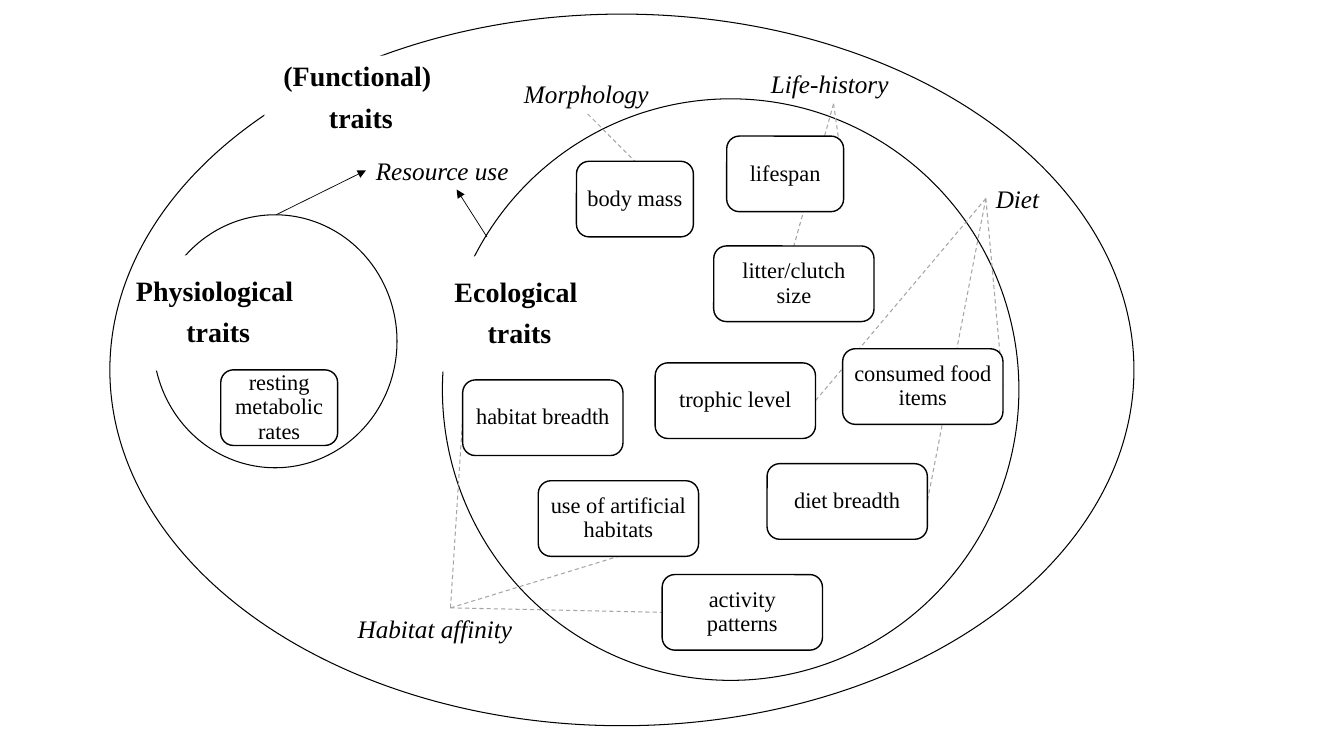
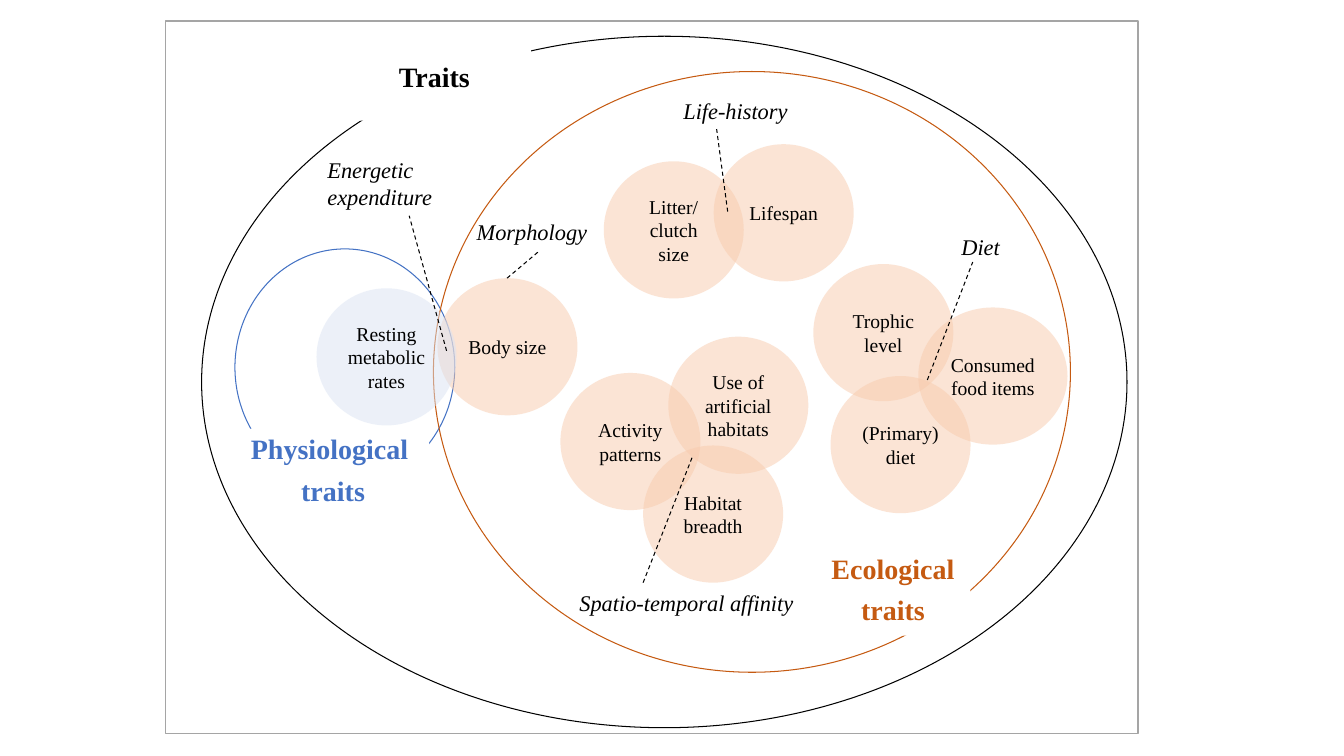
"""Two diagrams that group species traits by kind."""
from pptx import Presentation
from pptx.dml.color import RGBColor
from pptx.enum.dml import MSO_LINE
from pptx.enum.shapes import MSO_CONNECTOR, MSO_SHAPE
from pptx.enum.text import MSO_ANCHOR, MSO_AUTO_SIZE, PP_ALIGN
from pptx.oxml.ns import qn
from pptx.oxml.xmlchemy import OxmlElement
from pptx.util import Pt

BLACK = RGBColor(0x00, 0x00, 0x00)
WHITE = RGBColor(0xFF, 0xFF, 0xFF)
GREY = RGBColor(0xA5, 0xA5, 0xA5)
BLUE = RGBColor(0x44, 0x72, 0xC4)
ORANGE = RGBColor(0xC5, 0x5A, 0x11)
PALE_BLUE = RGBColor(0xDA, 0xE3, 0xF3)
PEACH = RGBColor(0xF8, 0xCB, 0xAD)

OVAL, ROUNDED, RECTANGLE = MSO_SHAPE.OVAL, MSO_SHAPE.ROUNDED_RECTANGLE, MSO_SHAPE.RECTANGLE
STRAIGHT = MSO_CONNECTOR.STRAIGHT
DASH = MSO_LINE.DASH
MIDDLE = MSO_ANCHOR.MIDDLE
CENTER, LEFT = PP_ALIGN.CENTER, PP_ALIGN.LEFT
FIT_SHAPE = MSO_AUTO_SIZE.SHAPE_TO_FIT_TEXT

FONT = "Times New Roman"
BLANK_LAYOUT = 6
TOP, LEFT_SIDE, BOTTOM, RIGHT_SIDE = range(4)
NARROW, WIDE, BOX_HEIGHT = 83.5, 114.5, 54
CIRCLE_WIDTH, CIRCLE_HEIGHT = 100, 98

HEADING = {"size": Pt(20), "bold": True}
BOX_TEXT = {"size": Pt(16)}
CIRCLE_TEXT = {"size": Pt(14)}
GROUP_NAME = {"size": Pt(18), "italic": True}
SMALL_GROUP_NAME = {"size": Pt(16), "italic": True}
TIGHT = {"alignment": CENTER, "line_spacing": 0.9, "space_after": Pt(8)}


def apply(target, values):
    """Set each attribute in values on target."""
    for attribute, value in values.items():
        setattr(target, attribute, value)


def write(frame, text, font, color=BLACK, paragraph_format=None, inset=None):
    """Write the lines of text as paragraphs in one style."""
    frame.word_wrap = True
    if inset is not None:
        margins = ("margin_left", "margin_top", "margin_right", "margin_bottom")
        apply(frame, dict.fromkeys(margins, Pt(inset)))
    for index, line in enumerate(text.split("\n")):
        paragraph = frame.add_paragraph() if index else frame.paragraphs[0]
        apply(paragraph, paragraph_format or {"alignment": LEFT})
        run = paragraph.add_run()
        run.text = line
        apply(run.font, {"name": FONT, **font})
        run.font.color.rgb = color


def add_outline(slide, preset, area, fill=None, line=None, weight=0.75):
    """Add a preset shape without shadow, optionally filled and outlined."""
    shape = slide.shapes.add_shape(preset, *map(Pt, area))
    shape.shadow.inherit = False
    shape.text_frame.vertical_anchor = MIDDLE
    if fill is None:
        shape.fill.background()
    else:
        shape.fill.solid()
        shape.fill.fore_color.rgb = fill
    if line is None:
        shape.line.fill.background()
    else:
        shape.line.color.rgb = line
        shape.line.width = Pt(weight)
    return shape


def add_heading(slide, text, area, color=BLACK):
    """Add a bold heading on a white patch that interrupts its ring."""
    patch = add_outline(slide, ROUNDED, area, WHITE, WHITE, 1)
    write(patch.text_frame, text, HEADING, color, TIGHT, 6)


def add_group_name(slide, text, area, font):
    """Add an italic name of a trait group."""
    name = slide.shapes.add_textbox(*map(Pt, area))
    write(name.text_frame, text, font)
    name.text_frame.auto_size = FIT_SHAPE


def add_link(slide, start, end, color=BLACK, weight=0.75, dashed=True):
    """Add a dashed line, or a solid line with an arrowhead at its end."""
    link = slide.shapes.add_connector(STRAIGHT, *map(Pt, (*start, *end)))
    link.line.color.rgb = color
    link.line.width = Pt(weight)
    if dashed:
        link.line.dash_style = DASH
    else:
        arrowhead = OxmlElement("a:tailEnd")
        arrowhead.set("type", "triangle")
        link.line._get_or_add_ln().append(arrowhead)
    link._element.spPr.append(OxmlElement("a:effectLst"))
    return link


def add_trait_box(slide, text, left, top, width, hub=None, side=None):
    """Add a trait box, with a link beneath it from its group's hub."""
    link = add_link(slide, hub, hub, GREY) if hub else None
    box = add_outline(slide, ROUNDED, (left, top, width, BOX_HEIGHT), WHITE, BLACK, 1)
    write(box.text_frame, text, BOX_TEXT, BLACK, TIGHT, 5)
    if link:
        link.end_connect(box, side)


def add_trait_circle(slide, text, left, top, fill=PEACH, width=CIRCLE_WIDTH):
    """Add a half-transparent trait circle."""
    circle = add_outline(slide, OVAL, (left, top, width, CIRCLE_HEIGHT), fill)
    alpha = OxmlElement("a:alpha")
    alpha.set("val", "50000")
    circle._element.spPr.find(".//" + qn("a:srgbClr")).append(alpha)
    write(circle.text_frame, text, CIRCLE_TEXT, BLACK, {"alignment": CENTER})


def build_functional_traits(slide):
    """Draw the functional traits as boxes linked to their groups."""
    add_outline(slide, OVAL, (316, 70.6, 411.8, 415.4), line=BLACK)
    add_outline(slide, OVAL, (109.4, 153.4, 174.2, 180.7), line=BLACK)
    add_heading(slide, "Physiological \ntraits", (63.4, 182.9, 185, 81.4))
    add_heading(slide, "Ecological \ntraits", (300.2, 183.6, 141.8, 81.4))
    add_outline(slide, OVAL, (78.5, 10.1, 731.5, 508.3), line=BLACK)
    add_heading(slide, "(Functional) \ntraits", (189.4, 40.3, 136.8, 59.8))

    morphology, life_history = (419.8, 81.4), (595.4, 74.2)
    diet, habitat = (704.2, 141.8), (321.8, 434.2)
    for trait in (
        ("resting metabolic rates", 157.7, 264.2, NARROW),
        ("body mass", 411.8, 115.2, NARROW, morphology, TOP),
        ("trophic level", 468, 259.2, WIDE, diet, RIGHT_SIDE),
        ("diet breadth", 547.9, 331.2, WIDE, diet, RIGHT_SIDE),
        ("activity patterns", 473, 410.4, WIDE, habitat, LEFT_SIDE),
        ("habitat breadth", 330.5, 271.4, WIDE, habitat, LEFT_SIDE),
        ("litter/clutch size", 509.8, 175.7, WIDE, life_history, TOP),
        ("consumed food items", 601.9, 249.1, WIDE, diet, RIGHT_SIDE),
        ("use of artificial habitats", 384.5, 343.4, WIDE, habitat, BOTTOM),
        ("lifespan", 519.1, 97.2, NARROW, life_history, RIGHT_SIDE),
    ):
        add_trait_box(slide, *trait)

    for start, end in (((197.3, 153.4), (261.4, 121.7)),
                       ((347.8, 169.2), (326.2, 135.4))):
        add_link(slide, start, end, weight=0.5, dashed=False)
    for text, left, top, width in (
        ("Resource use", 261.4, 107.3, 131),
        ("Life-history", 543.6, 45.4, 106),
        ("Diet", 704.2, 127.4, 54.7),
        ("Morphology", 367.2, 52.6, 106),
        ("Habitat affinity", 248.4, 434.2, 147),
    ):
        add_group_name(slide, text, (left, top, width, 28.8), GROUP_NAME)


def build_overlapping_traits(slide):
    """Draw the traits as overlapping circles inside coloured rings."""
    add_outline(slide, RECTANGLE, (118.1, 15.1, 694.8, 509), WHITE, GREY, 1)
    for ring, color, heading, patch in (
        ((144, 25.9, 661, 493.9), BLACK, "Traits", (241.9, 25.9, 136.8, 59.8)),
        ((167.8, 177.8, 157, 169.2), BLUE, "Physiological \ntraits",
         (169.9, 306.7, 136.1, 59.8)),
        ((309.6, 51.1, 455, 429.1), ORANGE, "Ecological \ntraits",
         (583.2, 391, 109.4, 62.6)),
    ):
        add_outline(slide, OVAL, ring, line=color)
        add_heading(slide, heading, patch, color)

    for trait in (
        ("Body size", 312.5, 198.7),
        ("Resting metabolic rates", 226.1, 205.9, PALE_BLUE),
        ("Activity patterns", 400.3, 266.4),
        ("Use of artificial habitats", 477.4, 240.5),
        ("Habitat breadth", 459.4, 318.2),
        ("Trophic level", 581, 188.6),
        ("Consumed food items", 655.9, 219.6, PEACH, 106.6),
        ("(Primary) diet", 593.3, 268.6),
        ("Litter/\nclutch size", 431.3, 115.2),
        ("Lifespan", 509.8, 103),
    ):
        add_trait_circle(slide, *trait)

    for text, area, start, end in (
        ("Energetic expenditure", (226.8, 108, 131, 46.1), (319, 250.6), (292.3, 154.1)),
        ("Morphology", (333.4, 152.6, 104, 26.6), (362.2, 198.7), (385.2, 179.3)),
        ("Spatio-temporal affinity", (406.8, 417.6, 201.6, 26.6),
         (459.4, 416.2), (494.6, 326.2)),
        ("Diet", (679.7, 162.7, 67.7, 26.6), (662.4, 271.4), (694.8, 187.2)),
        ("Life-history", (481, 66.2, 104, 26.6), (519.8, 151.2), (511.9, 92.2)),
    ):
        add_group_name(slide, text, area, SMALL_GROUP_NAME)
        add_link(slide, start, end)


def main():
    """Build both slides and save the presentation."""
    presentation = Presentation()
    apply(presentation, {"slide_width": Pt(960), "slide_height": Pt(540)})
    blank = presentation.slide_layouts[BLANK_LAYOUT]
    for build in (build_functional_traits, build_overlapping_traits):
        build(presentation.slides.add_slide(blank))
    presentation.save("out.pptx")


main()
